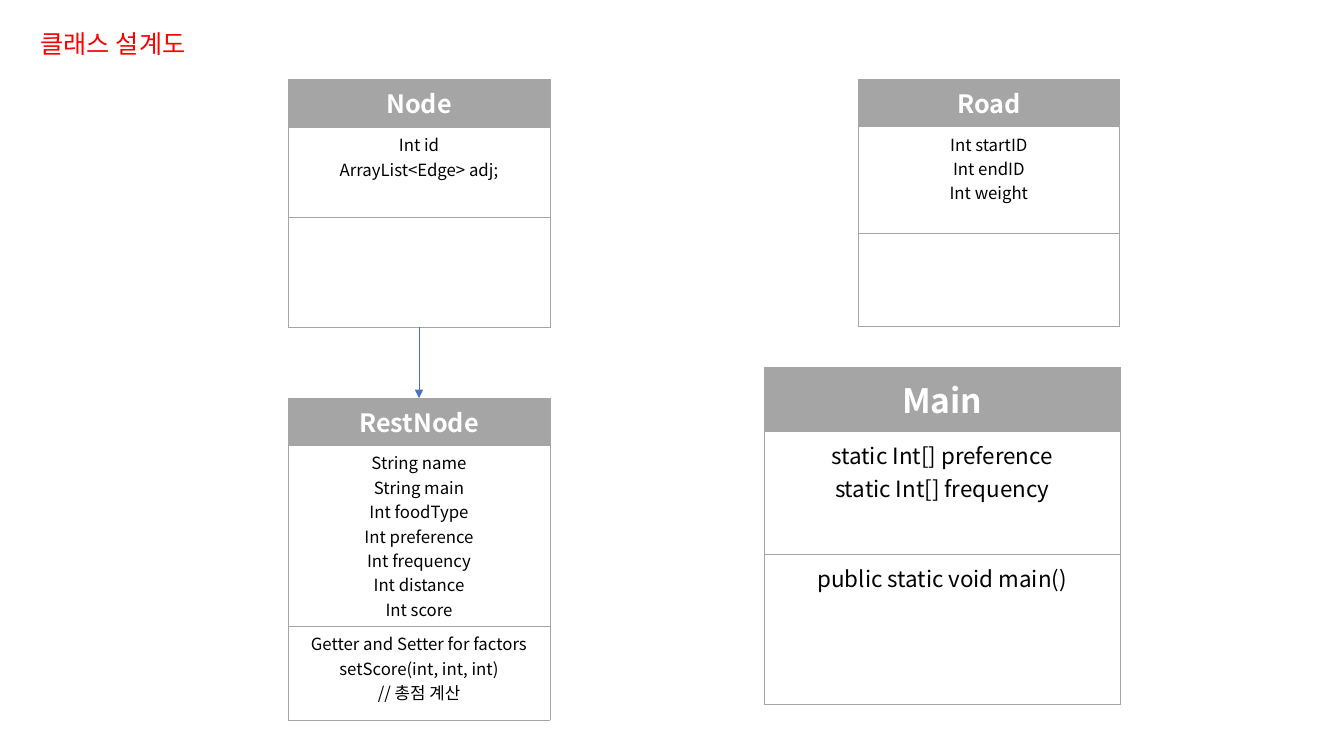
from dataclasses import dataclass

from lxml.etree import SubElement
from pptx import Presentation
from pptx.dml.color import RGBColor
from pptx.enum.shapes import MSO_CONNECTOR
from pptx.enum.text import MSO_ANCHOR, PP_ALIGN
from pptx.oxml.ns import qn
from pptx.slide import Slide
from pptx.table import _Cell
from pptx.text.text import TextFrame
from pptx.util import Cm, Pt

FONT = "Noto Sans CJK KR"
GREY = RGBColor(0xA5, 0xA5, 0xA5)
WHITE = RGBColor(0xFF, 0xFF, 0xFF)
BLACK = RGBColor(0x00, 0x00, 0x00)
RED = RGBColor(0xFF, 0x00, 0x00)
BLUE = RGBColor(0x44, 0x72, 0xC4)
RULE_WIDTH = Pt(0.5)


@dataclass(frozen=True)
class ClassBox:
    """One class of the design; lengths in centimetres, sizes in points."""
    name: str
    fields: str
    methods: str
    left: float
    top: float
    rows: tuple[float, float, float]
    width: float = 6.6
    name_size: int = 18
    member_size: int = 12
    inset: tuple[float, float] = (0.25, 0.13)

    @property
    def center(self) -> float:
        """Horizontal middle of the box."""
        return self.left + self.width / 2

    @property
    def bottom(self) -> float:
        """Lower edge of the box."""
        return self.top + sum(self.rows)


NODE = ClassBox("Node", "Int id\nArrayList<Edge> adj;", "", 7.26, 2.0, (1.2, 2.27, 2.78))
ROAD = ClassBox("Road", "Int startID\nInt endID\nInt weight", "", 21.62, 2.0, (1.19, 2.7, 2.34))
REST_NODE = ClassBox(
    "RestNode",
    "String name\nString main\nInt foodType\nInt preference\n"
    "Int frequency\nInt distance\nInt score",
    "Getter and Setter for factors\nsetScore(int, int, int)\n// 총점 계산",
    7.26, 10.03, (1.19, 4.55, 2.36))
MAIN = ClassBox(
    "Main", "static Int[] preference\nstatic Int[] frequency", "public static void main()",
    19.26, 9.25, (1.63, 3.08, 3.79), width=8.97,
    name_size=24, member_size=16, inset=(0.36, 0.18))


def format_text(frame: TextFrame, size: int, color: RGBColor, align: PP_ALIGN,
                bold: bool = False) -> None:
    """Give every run of a text frame the same look."""
    for paragraph in frame.paragraphs:
        paragraph.alignment = align
        for run in paragraph.runs:
            run.font.name = FONT
            run.font.size = Pt(size)
            run.font.bold = bold
            run.font.color.rgb = color
            SubElement(run.font._element, qn("a:ea"), typeface=FONT)


def add_borders(cell: _Cell) -> None:
    """Draw a thin grey line on all four sides of a cell."""
    properties = cell._tc.get_or_add_tcPr()
    for side in ("a:lnL", "a:lnR", "a:lnT", "a:lnB"):
        border = SubElement(properties, qn(side), w=str(RULE_WIDTH))
        fill = SubElement(border, qn("a:solidFill"))
        SubElement(fill, qn("a:srgbClr"), val=str(GREY))


def add_class_box(slide: Slide, box: ClassBox) -> None:
    """Draw a class as a table of name, fields and methods."""
    table = slide.shapes.add_table(
        3, 1, Cm(box.left), Cm(box.top), Cm(box.width), Cm(sum(box.rows))).table
    table.first_row = table.horz_banding = False
    sections = (box.name, box.fields, box.methods)
    for index, (text, height) in enumerate(zip(sections, box.rows)):
        is_name = index == 0
        table.rows[index].height = Cm(height)
        cell = table.cell(index, 0)
        cell.margin_left = cell.margin_right = Cm(box.inset[0])
        cell.margin_top = cell.margin_bottom = Cm(box.inset[1])
        add_borders(cell)
        cell.fill.solid()
        cell.fill.fore_color.rgb = GREY if is_name else WHITE
        cell.text_frame.text = text
        format_text(cell.text_frame, box.name_size if is_name else box.member_size,
                    WHITE if is_name else BLACK, PP_ALIGN.CENTER, bold=is_name)


def add_arrow(slide: Slide, parent: ClassBox, child: ClassBox) -> None:
    """Draw an arrow from the bottom of one class to the top of another."""
    arrow = slide.shapes.add_connector(
        MSO_CONNECTOR.STRAIGHT, Cm(parent.center), Cm(parent.bottom),
        Cm(child.center), Cm(child.top))
    arrow.line.color.rgb = BLUE
    arrow.line.width = RULE_WIDTH
    SubElement(arrow.line._get_or_add_ln(), qn("a:tailEnd"), type="triangle")
    SubElement(arrow._element.spPr, qn("a:effectLst"))


def set_title(slide: Slide, text: str) -> None:
    """Place and format the slide title."""
    title = slide.shapes.title
    title.left, title.top, title.width, title.height = Cm(0.77), Cm(0.58), Cm(5.26), Cm(1.03)
    frame = title.text_frame
    frame.text = text
    frame.word_wrap = True
    frame.vertical_anchor = MSO_ANCHOR.TOP
    format_text(frame, 18, RED, PP_ALIGN.LEFT)


def main() -> None:
    """Build the class design slide."""
    presentation = Presentation()
    presentation.slide_width, presentation.slide_height = Cm(33.87), Cm(19.05)
    slide = presentation.slides.add_slide(presentation.slide_layouts[5])
    set_title(slide, "클래스 설계도")
    for box in (NODE, ROAD, REST_NODE, MAIN):
        add_class_box(slide, box)
    add_arrow(slide, NODE, REST_NODE)
    presentation.save("out.pptx")


main()
